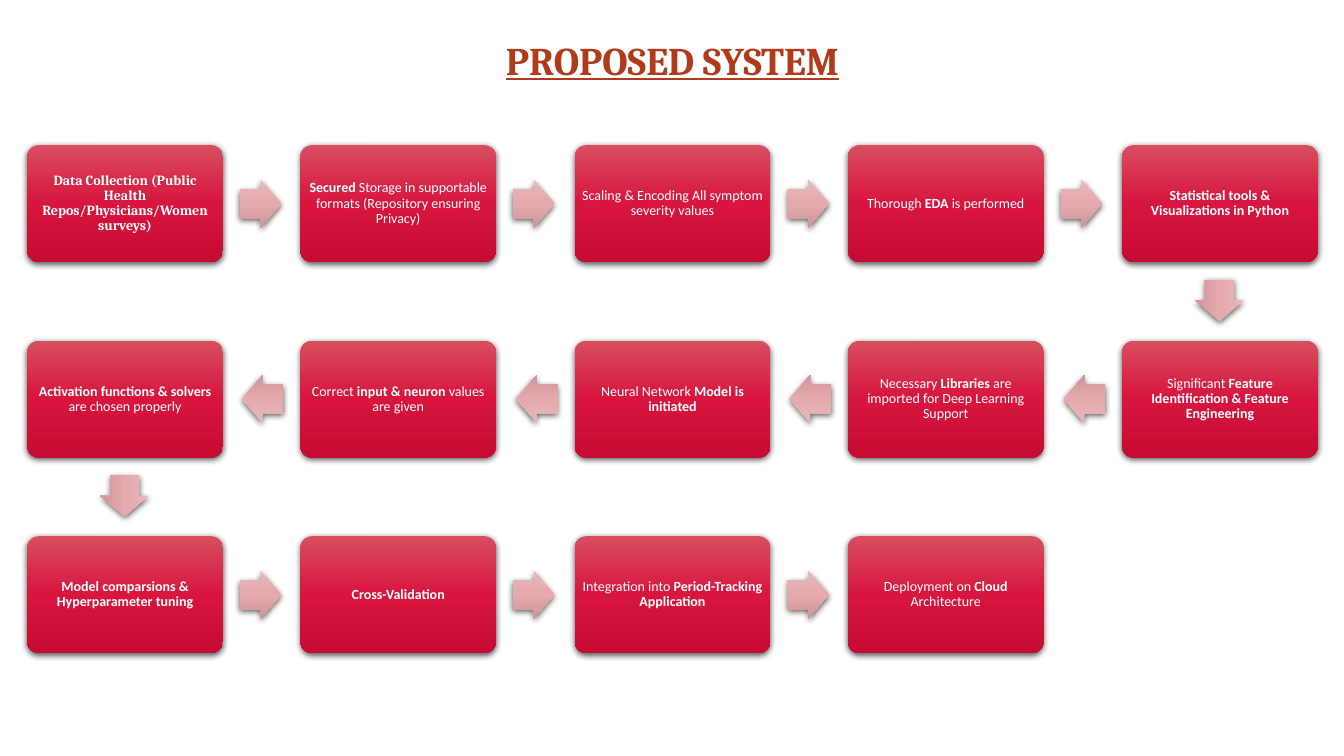
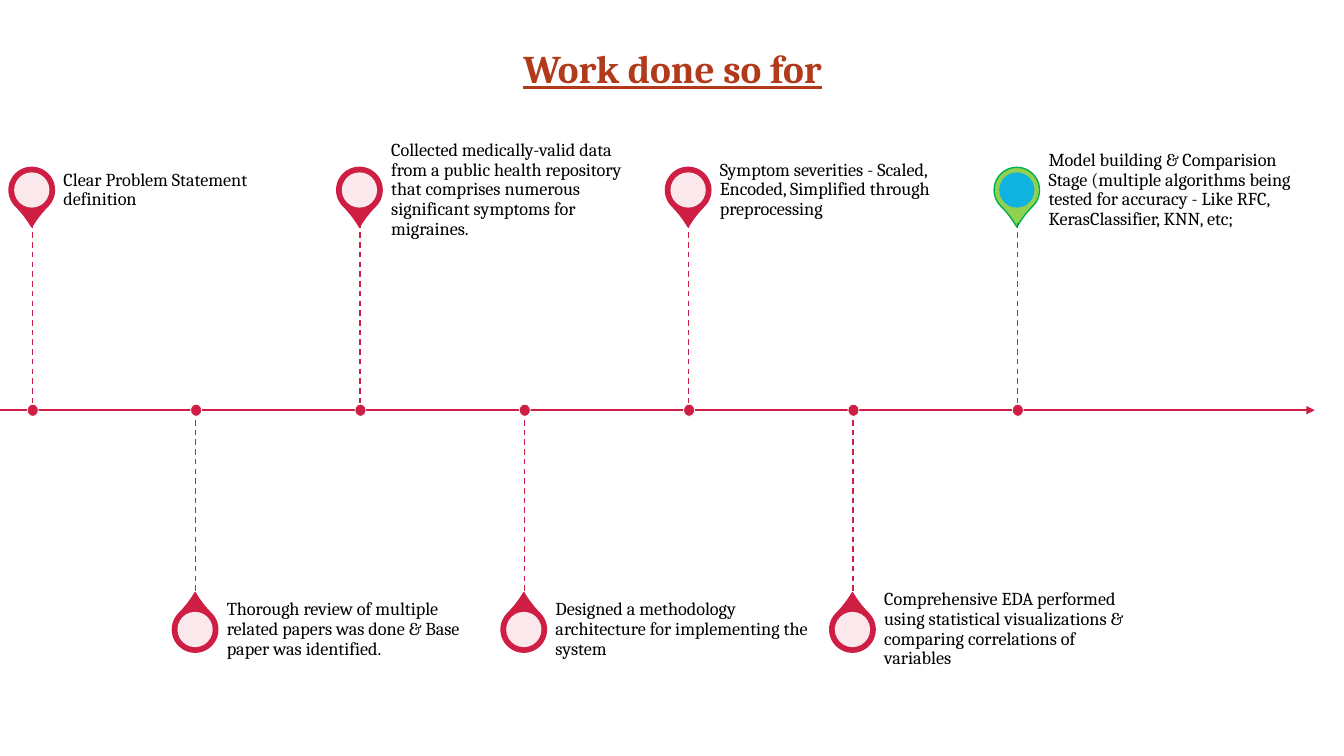
from lxml import etree
from pptx import Presentation
from pptx.dml.color import RGBColor
from pptx.enum.dml import MSO_LINE
from pptx.enum.shapes import MSO_CONNECTOR, MSO_SHAPE
from pptx.enum.text import MSO_ANCHOR, PP_ALIGN
from pptx.oxml.ns import qn
from pptx.util import Emu, Pt

EMU_PER_PX = 9144
SLIDE_WIDTH, SLIDE_HEIGHT = 1333, 750

CENTER, LEFT = PP_ALIGN.CENTER, PP_ALIGN.LEFT
TOP, MIDDLE = MSO_ANCHOR.TOP, MSO_ANCHOR.MIDDLE
ROUNDED, ARROW = MSO_SHAPE.ROUNDED_RECTANGLE, MSO_SHAPE.RIGHT_ARROW
TEARDROP, ELLIPSE = MSO_SHAPE.TEAR, MSO_SHAPE.OVAL
STRAIGHT, DASH = MSO_CONNECTOR.STRAIGHT, MSO_LINE.DASH

RUST = RGBColor(0xB1, 0x3A, 0x1B)
CRIMSON = RGBColor(0xCE, 0x1E, 0x43)
WHITE = RGBColor(0xFF, 0xFF, 0xFF)
BLACK = RGBColor(0x00, 0x00, 0x00)
LIME = RGBColor(0x92, 0xD0, 0x50)
GREEN = RGBColor(0x00, 0xB0, 0x50)
SKY = RGBColor(0x00, 0xB0, 0xF0)
BOX_GRADIENT = (
    RGBColor(0xD8, 0x4E, 0x5F),
    RGBColor(0xD7, 0x15, 0x3E),
    RGBColor(0xC7, 0x0B, 0x32),
)
ARROW_GRADIENT = (
    RGBColor(0xE8, 0xB7, 0xBB),
    RGBColor(0xE6, 0xA9, 0xAE),
    RGBColor(0xD0, 0x93, 0x97),
)

TITLE_FONT = {"name": "Cambria", "size": Pt(28), "bold": True, "underline": True}
STEP_FONT = {"name": "Calibri", "size": Pt(10)}
FIRST_STEP_FONT = {"name": "Cambria", "size": Pt(10)}
MILESTONE_FONT = {"name": "Cambria", "size": Pt(13)}

COLUMNS = 5
STEPS = [
    "*Data Collection (Public Health Repos/Physicians/Women surveys)*",
    "*Secured *Storage in supportable formats (Repository ensuring Privacy)",
    "Scaling & Encoding All symptom severity values",
    "Thorough *EDA *is performed",
    "*Statistical tools & Visualizations in Python*",
    "Significant *Feature Identification & Feature Engineering*",
    "Necessary *Libraries *are imported for Deep Learning Support",
    "Neural Network *Model is initiated*",
    "Correct *input & neuron *values are given",
    "*Activation functions & solvers *are chosen properly",
    "*Model comparsions & Hyperparameter tuning*",
    "*Cross-Validation*",
    "Integration into *Period-Tracking Application*",
    "Deployment on *Cloud *Architecture",
]

AXIS = 407
MILESTONES = [
    "Clear Problem Statement definition",
    "Thorough review of multiple related papers was done & Base paper was identified.",
    "Collected medically-valid data from a public health repository that comprises "
    "numerous significant symptoms for migraines.",
    "Designed a methodology architecture for implementing the system",
    "Symptom severities - Scaled, Encoded, Simplified through preprocessing",
    "Comprehensive EDA performed using statistical visualizations & "
    "comparing correlations of variables",
    "Model building & Comparision Stage (multiple algorithms being tested for "
    "accuracy - Like RFC, KerasClassifier, KNN, etc;",
]


def px(length):
    return Emu(length * EMU_PER_PX)


def add_xml(parent, tag, **attributes):
    return etree.SubElement(parent, qn(tag), attributes)


class Deck:
    def __init__(self):
        self.presentation = Presentation()
        self.presentation.slide_width = px(SLIDE_WIDTH)
        self.presentation.slide_height = px(SLIDE_HEIGHT)
        self.slide = None

    def add_slide(self, title, title_top):
        self.slide = self.presentation.slides.add_slide(self.presentation.slide_layouts[6])
        self.text(title, (437, title_top, 460, 57), TITLE_FONT, RUST, CENTER, TOP, (10, 5, 10, 5))

    def fill_text(self, shape, text, font, color, align, anchor, margins, spacing=None):
        frame = shape.text_frame
        frame.word_wrap = True
        frame.vertical_anchor = anchor
        for side, margin in zip(("left", "top", "right", "bottom"), margins):
            setattr(frame, f"margin_{side}", px(margin))
        paragraph = frame.paragraphs[0]
        paragraph.alignment = align
        if spacing:
            paragraph.line_spacing = spacing
        for index, part in enumerate(text.split("*")):
            if part:
                run = paragraph.add_run()
                run.text = part
                for name, value in {"bold": index % 2 == 1, **font}.items():
                    setattr(run.font, name, value)
                run.font.color.rgb = color

    def text(self, text, box, font, color, align, anchor, margins, spacing=None):
        shape = self.slide.shapes.add_textbox(*map(px, box))
        self.fill_text(shape, text, font, color, align, anchor, margins, spacing)

    def shape(self, kind, box, adjustments=(), rotation=0):
        shape = self.slide.shapes.add_shape(kind, *map(px, box))
        shape.shadow.inherit = False
        shape.rotation = rotation
        for index, value in enumerate(adjustments):
            shape.adjustments[index] = value
        shape.line.fill.background()
        return shape

    def flat(self, kind, box, fill, line=None, width=1, **geometry):
        shape = self.shape(kind, box, **geometry)
        shape.fill.solid()
        shape.fill.fore_color.rgb = fill
        if line is not None:
            shape.line.color.rgb = line
            shape.line.width = Pt(width)
        return shape

    def glossy(self, kind, box, colors, **geometry):
        shape = self.shape(kind, box, **geometry)
        shape.fill.gradient()
        shape.fill.gradient_angle = 270
        properties = shape.element.spPr
        stops = properties.find(".//" + qn("a:gsLst"))
        for stop in list(stops):
            stops.remove(stop)
        for index, color in enumerate(colors):
            stop = add_xml(stops, "a:gs", pos=str(index * 50000))
            add_xml(stop, "a:srgbClr", val=str(color))
        shadow = add_xml(
            properties.find(qn("a:effectLst")), "a:outerShdw",
            blurRad=str(Pt(4.5)), dist=str(Pt(1.5)), dir="5400000",
            algn="ctr", rotWithShape="0",
        )
        add_xml(add_xml(shadow, "a:srgbClr", val=str(BLACK)), "a:alpha", val="63000")
        return shape

    def line(self, start, end, width, dash=None, arrow=False):
        connector = self.slide.shapes.add_connector(STRAIGHT, *map(px, start + end))
        connector.line.color.rgb = CRIMSON
        connector.line.width = Pt(width)
        if dash is not None:
            connector.line.dash_style = dash
        properties = connector.element.spPr
        if arrow:
            add_xml(properties.find(qn("a:ln")), "a:tailEnd", type="triangle")
        add_xml(properties, "a:effectLst")

    def step(self, text, left, top, font):
        box = self.glossy(ROUNDED, (left, top, 194, 116), BOX_GRADIENT, adjustments=(0.1,))
        self.fill_text(box, text, font, WHITE, CENTER, MIDDLE, (4, 4, 4, 4), 0.9)

    def arrow(self, left, top, rotation):
        self.glossy(ARROW, (left, top, 41, 48), ARROW_GRADIENT,
                    adjustments=(0.6, 0.5), rotation=rotation)

    def milestone(self, text, x, above, pin, outline, center):
        top = 156 if above else 592
        self.flat(TEARDROP, (x - 23, top + 10, 45, 45), pin, outline,
                  adjustments=(1.15,), rotation=135 if above else 315)
        disc = self.flat(ELLIPSE, (x - 18, top + 15, 35, 35), center)
        fill = disc.element.spPr.find(qn("a:solidFill"))
        add_xml(fill.find(qn("a:srgbClr")), "a:alpha", val="90000")
        self.text(text, (x + 31, top, 264, 65), MILESTONE_FONT, BLACK,
                  LEFT, MIDDLE, (0, 0, 9, 0), 0.9)
        start, end = (top + 65, AXIS) if above else (AXIS, top)
        self.line((x, start), (x, end), 1, dash=DASH)
        self.flat(ELLIPSE, (x - 5, AXIS - 6, 11, 12), CRIMSON, WHITE, 0.5)


def build_proposed_system(deck):
    deck.add_slide("PROPOSED SYSTEM", 31)
    for index, text in enumerate(STEPS):
        row, place = divmod(index, COLUMNS)
        backward = row % 2 == 1
        column = COLUMNS - 1 - place if backward else place
        left, top = 27 + column * 543 // 2, 144 + row * 194
        deck.step(text, left, top, STEP_FONT if index else FIRST_STEP_FONT)
        if index == len(STEPS) - 1:
            continue
        if place == COLUMNS - 1:
            deck.arrow(left + 76, top + 130, 90)
        elif backward:
            deck.arrow(left - 58, top + 34, 180)
        else:
            deck.arrow(left + 211, top + 34, 0)


def build_work_done(deck):
    deck.add_slide("Work done so for", 39)
    deck.line((0, AXIS), (1304, AXIS), 1.5, arrow=True)
    for index, text in enumerate(MILESTONES):
        current = index == len(MILESTONES) - 1
        colors = (LIME, GREEN, SKY) if current else (CRIMSON, CRIMSON, WHITE)
        deck.milestone(text, 32 + index * 977 // 6, index % 2 == 0, *colors)


def main():
    deck = Deck()
    build_proposed_system(deck)
    build_work_done(deck)
    deck.presentation.save("out.pptx")


if __name__ == "__main__":
    main()
